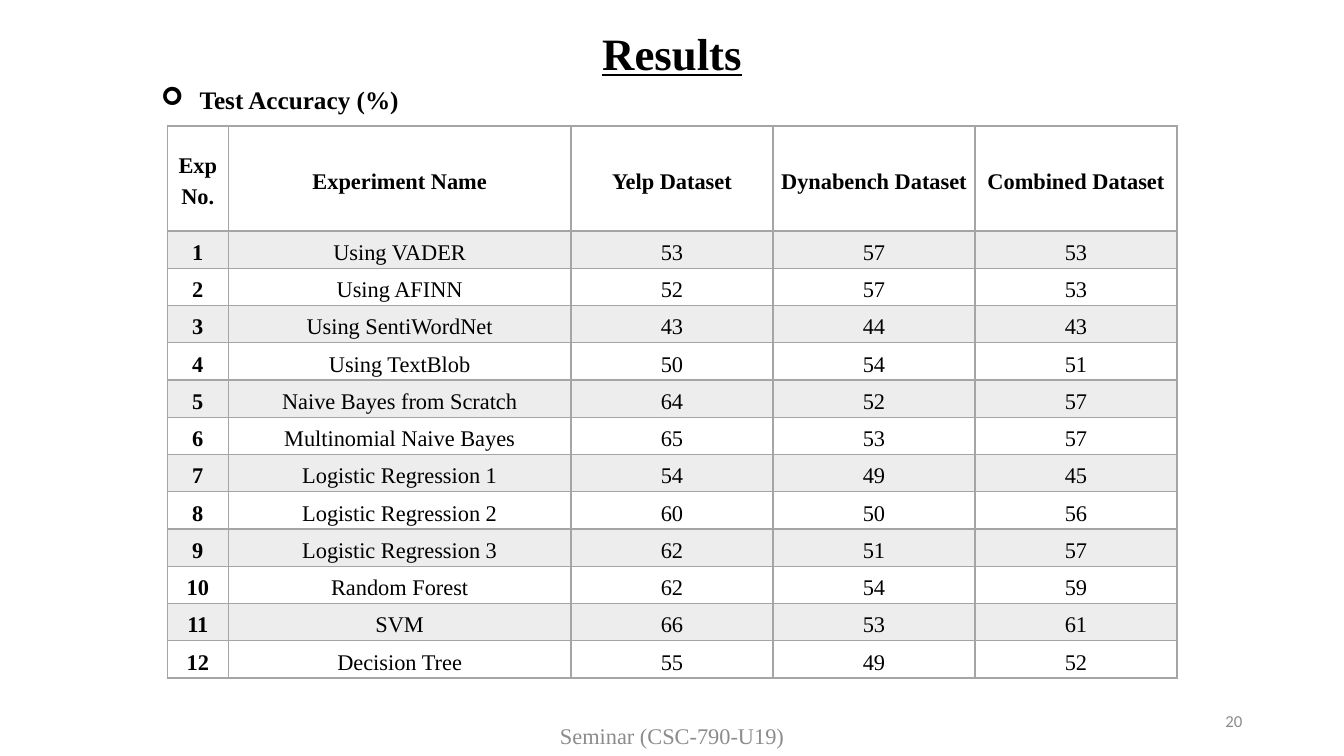
import lxml.etree
import pptx
import pptx.dml.color
import pptx.enum.text
import pptx.oxml.ns
import pptx.util

ALIGN = pptx.enum.text.PP_ALIGN
ANCHOR = pptx.enum.text.MSO_ANCHOR
SLIDE_WIDTH, SLIDE_HEIGHT = pptx.util.Inches(13.33), pptx.util.Inches(7.5)
COLORS = {"ink": "000000", "muted": "8C8C8C", "grid": "A5A5A5", "plain": "FFFFFF"}
SERIF, SANS = "Times New Roman", "Calibri"
COLUMN_SHARES = [4.54, 25.5, 15.03, 15.03, 15.03]
HEADER_SHARE, ROW_SHARE = 13.87, 4.93
HEADINGS = ["Exp No.", "Experiment Name", "Yelp Dataset", "Dynabench Dataset",
            "Combined Dataset"]
EXPERIMENTS = [
    ("Using VADER", 53, 57, 53),
    ("Using AFINN", 52, 57, 53),
    ("Using SentiWordNet", 43, 44, 43),
    ("Using TextBlob", 50, 54, 51),
    ("Naive Bayes from Scratch", 64, 52, 57),
    ("Multinomial Naive Bayes", 65, 53, 57),
    ("Logistic Regression 1", 54, 49, 45),
    ("Logistic Regression 2", 60, 50, 56),
    ("Logistic Regression 3", 62, 51, 57),
    ("Random Forest", 62, 54, 59),
    ("SVM", 66, 53, 61),
    ("Decision Tree", 55, 49, 52),
]


def across(share):
    """Return a percentage of the slide width as a length."""
    return round(SLIDE_WIDTH * share / 100)


def down(share):
    """Return a percentage of the slide height as a length."""
    return round(SLIDE_HEIGHT * share / 100)


def area(left, top, width, height):
    """Return a rectangle given in percentages of the slide."""
    return across(left), down(top), across(width), down(height)


def add_child(parent, tag, **attributes):
    """Append a DrawingML element to a parent."""
    return lxml.etree.SubElement(parent, pptx.oxml.ns.qn(tag), attributes)


def format_paragraph(paragraph, size, color="ink", face=SERIF, bold=False,
                     align=ALIGN.CENTER):
    """Set the alignment and font of a paragraph."""
    paragraph.alignment = align
    paragraph.font.size = pptx.util.Pt(size)
    paragraph.font.name = face
    paragraph.font.bold = bold
    paragraph.font.color.rgb = pptx.dml.color.RGBColor.from_string(COLORS[color])


def add_title(slide, wording):
    """Place the underlined title across the slide."""
    title = slide.shapes.title
    title.left, title.top, title.width, title.height = area(0.3, 2.67, 99.4, 8.53)
    title.text_frame.text = wording
    title.text_frame.vertical_anchor = ANCHOR.TOP
    title.text_frame.auto_size = pptx.enum.text.MSO_AUTO_SIZE.NONE
    heading = title.text_frame.paragraphs[0]
    format_paragraph(heading, 32, bold=True)
    heading.font.underline = True


def add_label(slide, wording, place, anchor, size, bullet=None, **style):
    """Add one line of text, with a bullet if one is given."""
    frame = slide.shapes.add_textbox(*area(*place)).text_frame
    frame.word_wrap = True
    frame.vertical_anchor = anchor
    line = frame.paragraphs[0]
    line.text = wording
    if bullet:
        properties = line._p.get_or_add_pPr()
        properties.set("marL", str(pptx.util.Inches(0.69)))
        properties.set("indent", str(pptx.util.Inches(-0.38)))
        add_child(properties, "a:buFont", typeface="Wingdings")
        add_child(properties, "a:buChar", char=bullet)
    format_paragraph(line, size, **style)


def add_borders(cell, widths):
    """Draw the four borders of a cell, widths in points by side."""
    properties = cell._tc.get_or_add_tcPr()
    for side in "LRTB":
        width = pptx.util.Pt(widths.get(side, 1))
        border = add_child(properties, f"a:ln{side}", w=str(width))
        add_child(add_child(border, "a:solidFill"), "a:srgbClr", val=COLORS["grid"])


def shade(cell, banded):
    """Fill a cell with white or with a translucent band."""
    color = COLORS["grid" if banded else "plain"]
    cell.fill.solid()
    cell.fill.fore_color.rgb = pptx.dml.color.RGBColor.from_string(color)
    if banded:
        tint = cell._tc.tcPr.find(".//" + pptx.oxml.ns.qn("a:solidFill") + "[last()]")
        tint = cell._tc.tcPr.findall(pptx.oxml.ns.qn("a:solidFill"))[-1][0]
        add_child(tint, "a:alpha", val="20000")


def fill_cell(cell, wording, bold, banded, widths):
    """Write and format one table cell."""
    cell.text = wording
    cell.vertical_anchor = ANCHOR.MIDDLE
    cell.margin_left = cell.margin_right = pptx.util.Inches(0.07)
    cell.margin_top = cell.margin_bottom = 0
    entry = cell.text_frame.paragraphs[0]
    entry.line_spacing = 1.26
    entry.space_after = pptx.util.Pt(0.8)
    format_paragraph(entry, 16, bold=bold)
    add_borders(cell, widths)
    shade(cell, banded)


def add_results(slide, left, top):
    """Add the accuracy table with its numbered, banded rows."""
    rows = [HEADINGS] + [(number, *result)
                         for number, result in enumerate(EXPERIMENTS, 1)]
    height = HEADER_SHARE + ROW_SHARE * len(EXPERIMENTS)
    place = area(left, top, sum(COLUMN_SHARES), height)
    results = slide.shapes.add_table(len(rows), len(HEADINGS), *place).table
    results.horz_banding = False
    for column, share in zip(results.columns, COLUMN_SHARES):
        column.width = across(share)
    for index, values in enumerate(rows):
        results.rows[index].height = down(ROW_SHARE if index else HEADER_SHARE)
        widths = {0: {"B": 2}, 1: {"T": 2}}.get(index, {})
        for position, value in enumerate(values):
            bold = index == 0 or position == 0
            fill_cell(results.cell(index, position), str(value), bold,
                      index % 2 == 1, widths)


def main():
    """Build the results slide and save it."""
    deck = pptx.Presentation()
    deck.slide_width, deck.slide_height = SLIDE_WIDTH, SLIDE_HEIGHT
    slide = deck.slides.add_slide(deck.slide_layouts[5])
    add_title(slide, "Results")
    add_label(slide, "20", (70.67, 92.67, 22.5, 5.33), ANCHOR.MIDDLE, 12,
              color="muted", face=SANS, align=ALIGN.RIGHT)
    add_label(slide, "Seminar (CSC-790-U19)", (0.3, 94.67, 99.4, 5.33),
              ANCHOR.MIDDLE, 16, color="muted")
    add_results(slide, 12.45, 16.67)
    add_label(slide, "Test Accuracy (%)", (8.93, 10.53, 50, 5.33), ANCHOR.TOP, 18,
              bullet="➢", bold=True, align=ALIGN.JUSTIFY)
    deck.save("out.pptx")


if __name__ == "__main__":
    main()
